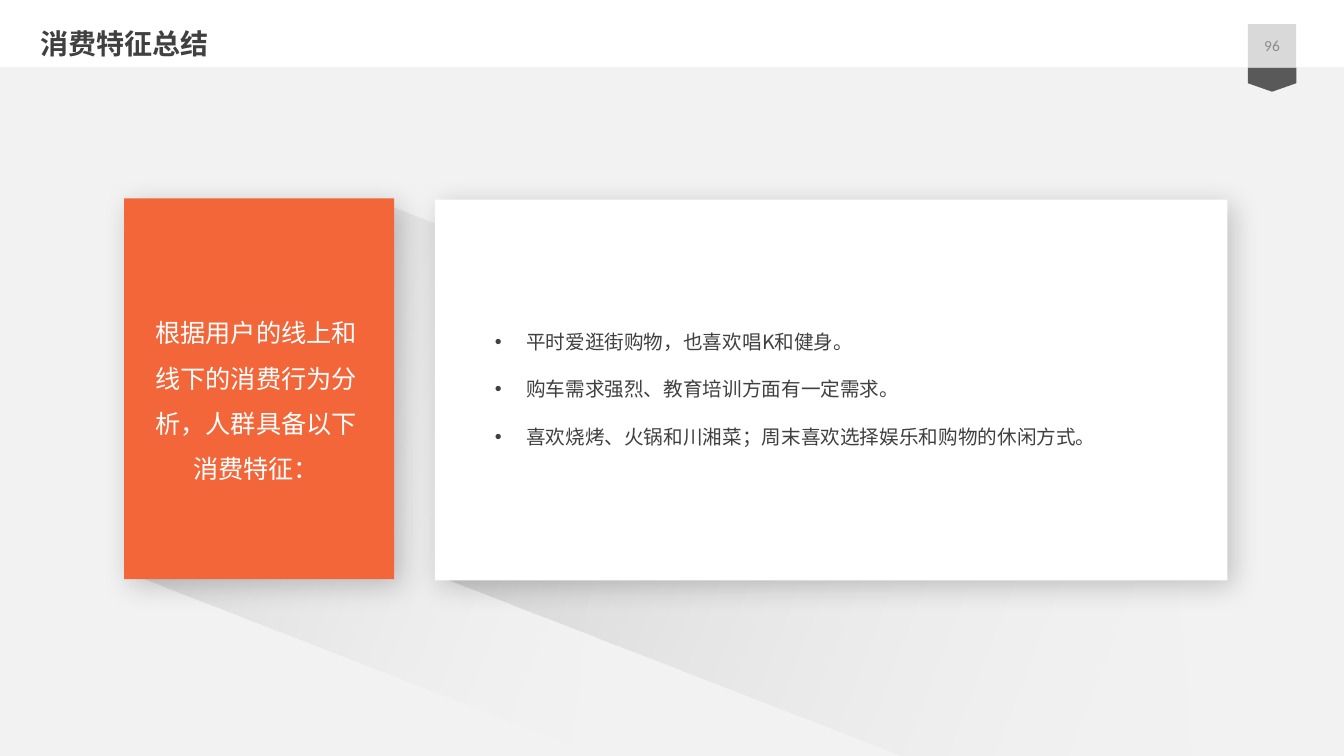
from pptx import Presentation
from pptx.dml.color import RGBColor
from pptx.enum.shapes import MSO_SHAPE
from pptx.enum.text import MSO_ANCHOR, MSO_AUTO_SIZE, PP_ALIGN
from pptx.oxml import parse_xml
from pptx.oxml.ns import nsdecls, qn
from pptx.util import Pt

RECTANGLE, PENTAGON = MSO_SHAPE.RECTANGLE, MSO_SHAPE.PENTAGON
LEFT, CENTER = PP_ALIGN.LEFT, PP_ALIGN.CENTER
TOP, MIDDLE = MSO_ANCHOR.TOP, MSO_ANCHOR.MIDDLE
NO_FIT = MSO_AUTO_SIZE.NONE


class Theme:
    white, paper, orange = "FFFFFF", "F2F2F2", "F36639"
    text, number, tab, ribbon = "404040", "8C8C8C", "D9D9D9", "595959"
    shade, shadow = "3B3838", "000000"
    font, number_font = "Noto Sans CJK SC", "Calibri"
    title_size, label_size, list_size, number_size = 20, 18, 14, 11


def add_block(kind, left, top, width, height, color):
    block = page.shapes.add_shape(kind, Pt(left), Pt(top), Pt(width), Pt(height))
    block.shadow.inherit = False
    block.fill.solid()
    block.fill.fore_color.rgb = RGBColor.from_string(color)
    block.line.fill.background()
    return block


def write_text(box, lines, size, color, font=Theme.font, bold=False,
               align=LEFT, anchor=TOP, spacing=None, bullet=False):
    frame = box.text_frame
    frame.word_wrap = True
    frame.auto_size = NO_FIT
    frame.vertical_anchor = anchor
    for index, line in enumerate(lines):
        para = frame.add_paragraph() if index else frame.paragraphs[0]
        if bullet:
            para.level = 1
            props = para._p.get_or_add_pPr()
            props.set("marL", str(Pt(58.32)))
            props.set("indent", str(Pt(-22.32)))
            props.append(parse_xml(f'<a:buFont {nsdecls("a")} typeface="Arial"/>'))
            props.append(parse_xml(f'<a:buChar {nsdecls("a")} char="•"/>'))
        para.alignment = align
        para.space_before = Pt(0)
        if spacing:
            para.line_spacing = Pt(spacing)
        span = para.add_run()
        span.text = line
        span.font.name = font
        span.font.size = Pt(size)
        span.font.bold = bold
        span.font.color.rgb = RGBColor.from_string(color)
        span.font._element.append(parse_xml(f'<a:ea {nsdecls("a")} typeface="{font}"/>'))


deck = Presentation()
deck.slide_width, deck.slide_height = Pt(960), Pt(540)
page = deck.slides.add_slide(deck.slide_layouts[1])
title, body = page.placeholders

add_block(RECTANGLE, 0, 0, 960, 540, Theme.paper)
ribbon = add_block(PENTAGON, 900, 39.6, 17.28, 34.56, Theme.ribbon)
ribbon.rotation = 90
ribbon.adjustments[0] = 0.35
add_block(RECTANGLE, 0, 0, 960, 48, Theme.white)
number_tab = add_block(RECTANGLE, 891.36, 17.28, 34.56, 30.5, Theme.tab)
write_text(number_tab, ["96"], Theme.number_size, Theme.number,
           font=Theme.number_font, align=CENTER, anchor=MIDDLE)

long_shadows = [
    [(414.7, 144.7), (544.3, 167), (832.3, 278.6), (856.8, 622.8), (311.8, 411.1)],
    [(199.4, 144.7), (277.9, 146.9), (442.8, 211), (409, 532.8), (95.8, 411.1)],
]
for outline in long_shadows:
    points = [(Pt(x), Pt(y)) for x, y in outline]
    builder = page.shapes.build_freeform(*points[0])
    builder.add_line_segments(points[1:], close=True)
    long_shadow = builder.convert_to_shape()
    long_shadow.shadow.inherit = False
    long_shadow.line.fill.background()
    long_shadow.fill.background()
    props = long_shadow.element.spPr
    props.replace(props.find(qn("a:noFill")), parse_xml(
        f'<a:gradFill {nsdecls("a")} rotWithShape="1"><a:gsLst>'
        f'<a:gs pos="0"><a:srgbClr val="{Theme.shade}"><a:alpha val="20000"/></a:srgbClr></a:gs>'
        f'<a:gs pos="100000"><a:srgbClr val="{Theme.paper}"><a:alpha val="0"/></a:srgbClr></a:gs>'
        '</a:gsLst><a:lin ang="1272000" scaled="0"/></a:gradFill>'))

for left, top, width, color in [(88.6, 141.8, 193, Theme.orange),
                                (310.7, 142.6, 566, Theme.white)]:
    card = add_block(RECTANGLE, left, top, width, 272, color)
    card.element.spPr.find(qn("a:effectLst")).append(parse_xml(
        f'<a:outerShdw {nsdecls("a")} blurRad="{Pt(20)}" dist="{Pt(6)}" dir="2700000" '
        f'algn="tl" rotWithShape="0"><a:srgbClr val="{Theme.shadow}">'
        '<a:alpha val="20000"/></a:srgbClr></a:outerShdw>'))

label = page.shapes.add_textbox(Pt(95.8), Pt(212.4), Pt(174.2), Pt(138.2))
write_text(label, ["根据用户的线上和线下的消费行为分析，人群具备以下消费特征："],
           Theme.label_size, Theme.white, align=CENTER, spacing=32.4)

body.left, body.top, body.width, body.height = Pt(310.3), Pt(214.6), Pt(527), Pt(103.7)
write_text(body, ["平时爱逛街购物，也喜欢唱K和健身。",
                  "购车需求强烈、教育培训方面有一定需求。",
                  "喜欢烧烤、火锅和川湘菜；周末喜欢选择娱乐和购物的休闲方式。"],
           Theme.list_size, Theme.text, spacing=34, bullet=True)

title.left, title.top, title.width, title.height = Pt(21.6), Pt(15.1), Pt(815.8), Pt(31.7)
write_text(title, ["消费特征总结"], Theme.title_size, Theme.text, bold=True, spacing=24.4)

label.element.addnext(body.element)
body.element.addnext(title.element)

deck.save("out.pptx")
